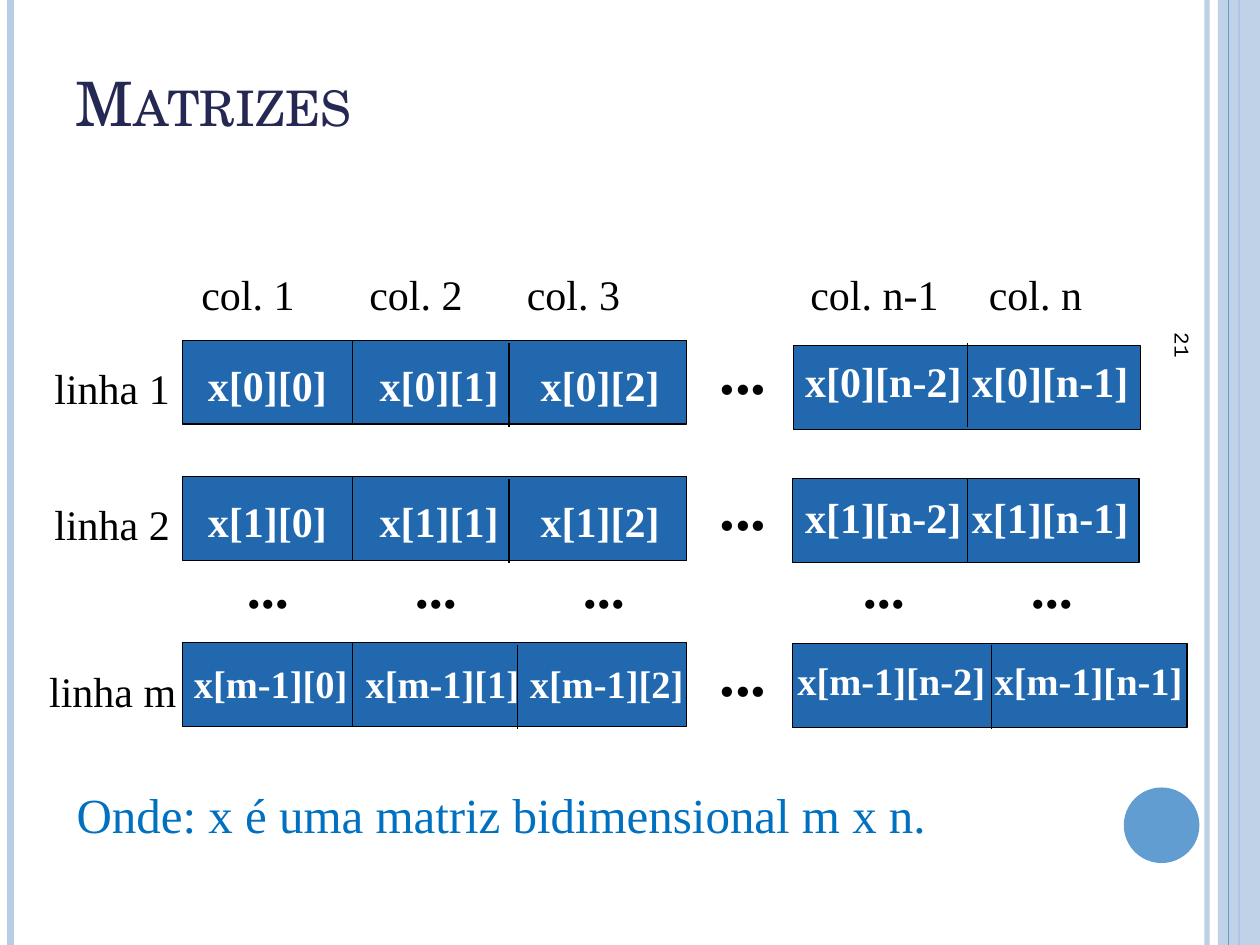
from dataclasses import dataclass

from lxml import etree
from pptx import Presentation
from pptx.dml.color import RGBColor
from pptx.enum.shapes import MSO_CONNECTOR, MSO_SHAPE
from pptx.enum.text import MSO_ANCHOR, MSO_AUTO_SIZE, PP_ALIGN
from pptx.oxml.ns import qn
from pptx.slide import Slide
from pptx.util import Pt

LINE = MSO_CONNECTOR.STRAIGHT
RECT, OVAL = MSO_SHAPE.RECTANGLE, MSO_SHAPE.OVAL
TOP, MIDDLE, BOTTOM = MSO_ANCHOR.TOP, MSO_ANCHOR.MIDDLE, MSO_ANCHOR.BOTTOM
LEFT = PP_ALIGN.LEFT
NO_FIT = MSO_AUTO_SIZE.NONE

BLACK = RGBColor(0x00, 0x00, 0x00)
WHITE = RGBColor(0xFF, 0xFF, 0xFF)
NAVY = RGBColor(0x24, 0x28, 0x52)
CELL_BLUE = RGBColor(0x21, 0x68, 0xAF)
NOTE_BLUE = RGBColor(0x00, 0x70, 0xC0)
PALE_BLUE = RGBColor(0xB7, 0xCC, 0xE5)
MID_BLUE = RGBColor(0x62, 0x9D, 0xD1)

SLIDE_W, SLIDE_H = 720, 540


@dataclass
class MatrixSlide:
    slide: Slide
    body_font: str = "Times New Roman"
    title_font: str = "TeX Gyre Schola"
    number_font: str = "Courier New"
    border: float = 0.75

    def set_opacity(self, color_parent, percent):
        color = color_parent.find(".//" + qn("a:srgbClr"))
        etree.SubElement(color, qn("a:alpha"), val=str(percent * 1000))

    def line(self, x, top, bottom, color=BLACK, width=None, opacity=100):
        rule = self.slide.shapes.add_connector(LINE, Pt(x), Pt(top), Pt(x), Pt(bottom))
        rule.line.color.rgb = color
        rule.line.width = Pt(width or self.border)
        properties = rule._element.spPr
        if opacity < 100:
            self.set_opacity(properties, opacity)
        etree.SubElement(properties, qn("a:effectLst"))

    def block(self, kind, x, y, w, h, fill, outlined=False, opacity=100):
        block = self.slide.shapes.add_shape(kind, Pt(x), Pt(y), Pt(w), Pt(h))
        block.shadow.inherit = False
        block.fill.solid()
        block.fill.fore_color.rgb = fill
        if opacity < 100:
            self.set_opacity(block._element.spPr, opacity)
        if outlined:
            block.line.color.rgb = BLACK
            block.line.width = Pt(self.border)
        else:
            block.line.fill.background()

    def run(self, paragraph, text, size, color, bold, font):
        run = paragraph.add_run()
        run.text = text
        run.font.size = Pt(size)
        run.font.name = font
        run.font.bold = bold
        run.font.color.rgb = color
        return run

    def text(self, x, y, w, h, text, size=24, color=BLACK, bold=False, font=None,
             tabs=(), lead=None, anchor=TOP, rotation=0):
        box = self.slide.shapes.add_textbox(Pt(x), Pt(y), Pt(w), Pt(h))
        box.rotation = rotation
        frame = box.text_frame
        frame.word_wrap = True
        frame.vertical_anchor = anchor
        paragraph = frame.paragraphs[0]
        if tabs:
            stops = etree.SubElement(paragraph._p.get_or_add_pPr(), qn("a:tabLst"))
            for stop in tabs:
                etree.SubElement(stops, qn("a:tab"), pos=str(int(Pt(stop))), algn="l")
        font = font or self.body_font
        if lead:
            self.run(paragraph, " ", lead, color, bold, font)
        self.run(paragraph, text, size, color, bold, font)

    def title(self, x, y, w, h, text):
        title = self.slide.shapes.title
        title.left, title.top, title.width, title.height = Pt(x), Pt(y), Pt(w), Pt(h)
        frame = title.text_frame
        frame.auto_size = NO_FIT
        frame.vertical_anchor = BOTTOM
        paragraph = frame.paragraphs[0]
        paragraph.alignment = LEFT
        run = self.run(paragraph, text, 35, NAVY, False, self.title_font)
        run.font._element.set("cap", "small")


@dataclass
class MatrixRow:
    label: str
    index: str
    top: float
    label_box: tuple  # left, width
    first_text: tuple  # offset from row top, width, height
    tabs: tuple
    first_divider: float
    last_block: tuple  # left, offset from row top, width
    last_text: tuple  # left, width
    last_divider: float
    size: int = 24
    lead: int = None


ROWS = [
    MatrixRow("linha 1", "0", 194.4, (24, 84), (-0.7, 289, 45), (106.2, 198.2), 290.9,
              (453.6, 2.9, 198), (453, 201), 553, lead=32),
    MatrixRow("linha 2", "1", 272.2, (24, 84), (-0.7, 289, 45), (106.2, 198.2), 290.9,
              (452.9, 1.4, 198), (453, 249), 553, lead=32),
    MatrixRow("linha m", "m-1", 367.2, (21, 90), (6.5, 300, 34), (98.2, 192), 295.9,
              (452.9, 0.7, 225.4), (448.6, 249), 566.6, size=22),
]
COLUMNS = [("col. 1", 108), ("col. 2", 204), ("col. 3", 294),
           ("col. n-1", 456), ("col. n", 558)]
ROW_H = 48


def add_row(page, row):
    first_left, first_width, first_cut = 104.4, 288, 201.6
    last_left, last_offset, last_width = row.last_block

    # Cell blocks and their dividers
    page.block(RECT, first_left, row.top, first_width, ROW_H, CELL_BLUE, True)
    page.block(RECT, last_left, row.top + last_offset, last_width, ROW_H, CELL_BLUE, True)
    for x, offset in ((first_cut, 0.4), (row.first_divider, 1.5), (row.last_divider, 1.5)):
        page.line(x, row.top + offset, row.top + offset + ROW_H)

    # Cell names, row label and the gap between the blocks
    offset, width, height = row.first_text
    first_cells = "\t".join(f"x[{row.index}][{column}]" for column in range(3))
    page.text(103.7, row.top + offset, width, height, first_cells, row.size, WHITE, True,
              tabs=row.tabs, lead=row.lead)
    left, width = row.last_text
    last_cells = " ".join(f"x[{row.index}][n-{back}]" for back in (2, 1))
    page.text(left, row.top + 5, width, 36, last_cells, row.size, WHITE, True)
    left, width = row.label_box
    page.text(left, row.top + 9.4, width, 36, row.label)
    page.text(404, row.top - 8.6, 60, 50.4, "...", 36, bold=True)


def main():
    deck = Presentation()
    deck.slide_width, deck.slide_height = Pt(SLIDE_W), Pt(SLIDE_H)
    page = MatrixSlide(deck.slides.add_slide(deck.slide_layouts[5]))

    # Side decoration
    page.line(689.8, 0, SLIDE_H, PALE_BLUE, 3, 93)
    page.line(6, 0, SLIDE_H, PALE_BLUE, 4.5)
    page.line(708, 0, SLIDE_H, MID_BLUE, 1.5)
    page.block(RECT, 696, 0, 24, SLIDE_H, PALE_BLUE, opacity=87)
    page.line(702, 0, SLIDE_H, MID_BLUE, 0.75)
    page.block(OVAL, 642.2, 450, 43.2, 43.2, MID_BLUE)

    # Page number and title
    page.text(550, 294.5, 252, 28.8, "21", 12, font=page.number_font,
              anchor=MIDDLE, rotation=90)
    page.title(36, 21.6, 588, 61.2, "Matrizes")

    # Matrix
    for heading, left in COLUMNS:
        page.text(left, 150, 102, 36, heading)
    for row in ROWS:
        add_row(page, row)
    page.text(102, 312, 552, 45, "\t" + "\t".join(["..."] * len(COLUMNS)), 32, bold=True,
              tabs=(32, 128, 224, 384, 480))

    # Closing remark
    page.text(36.7, 445, 572.4, 41, "Onde: x é uma matriz bidimensional m x n.", 28, NOTE_BLUE)

    deck.save("out.pptx")


if __name__ == "__main__":
    main()
